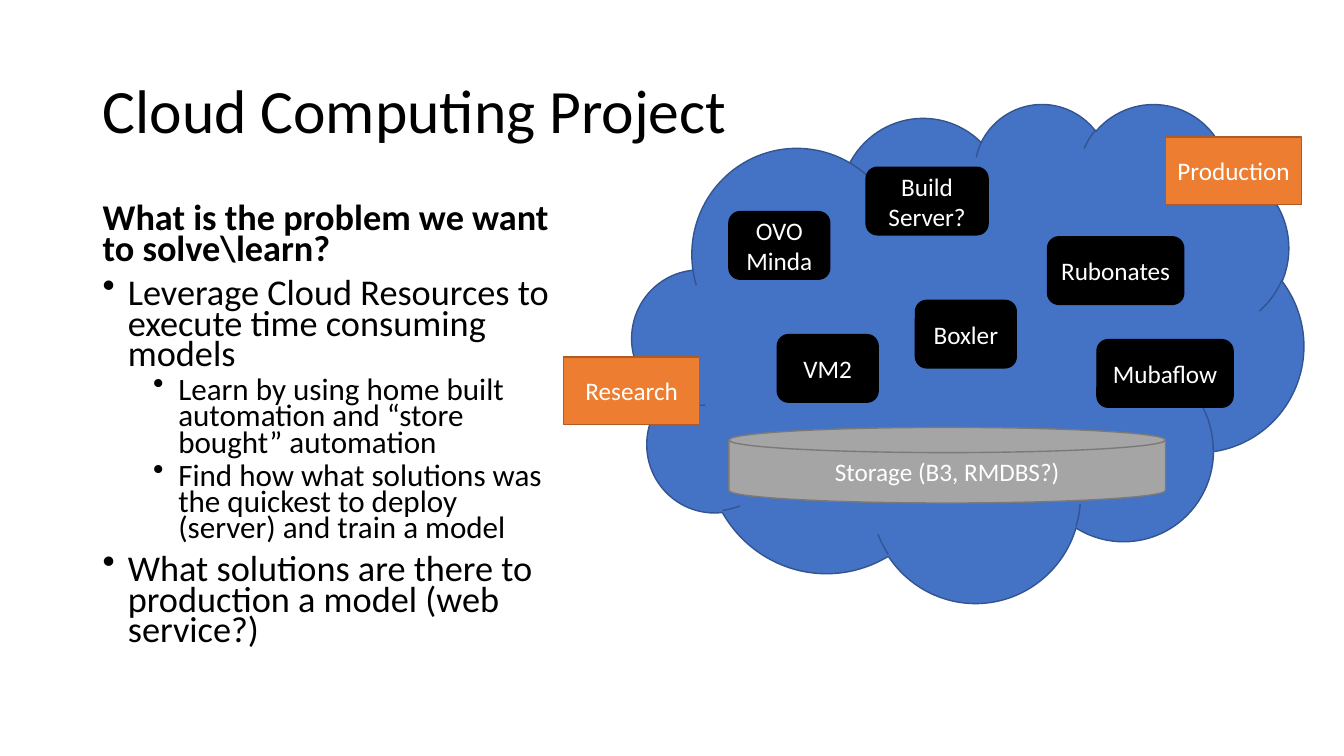
"""Build the cloud computing project slide."""
from lxml.etree import SubElement
from pptx import Presentation
from pptx.dml.color import RGBColor as RGB
from pptx.enum.shapes import MSO_SHAPE as Kind
from pptx.enum.text import MSO_ANCHOR as Anchor, PP_ALIGN as Align
from pptx.oxml.ns import qn
from pptx.util import Inches, Pt

FONT = "Calibri"
BLACK, WHITE = RGB(0, 0, 0), RGB(255, 255, 255)
BLUE, NAVY = RGB(0x44, 0x72, 0xC4), RGB(0x32, 0x54, 0x91)
ORANGE, RUST = RGB(0xED, 0x7D, 0x31), RGB(0xAF, 0x5C, 0x24)
GRAY, SLATE = RGB(0xA5, 0xA5, 0xA5), RGB(0x7A, 0x7A, 0x7A)

TITLE = "Cloud Computing Project"
BODY = [
    ("head", "What is the problem we want to solve\\learn?"),
    ("main", "Leverage Cloud Resources to execute time consuming models"),
    ("sub", "Learn by using home built automation and “store bought” automation"),
    ("sub", "Find how what solutions was the quickest to deploy (server) and train a model"),
    ("main", "What solutions are there to production a model (web service?)"),
]
LEVELS = {
    "head": (0, 25.9, 10, 0),
    "main": (0, 25.9, 10, 0.25),
    "sub": (1, 22.2, 5, 0.75),
}
STYLES = {
    "cloud": (Kind.CLOUD, BLUE, NAVY),
    "stage": (Kind.FLOWCHART_PROCESS, ORANGE, RUST),
    "store": (Kind.FLOWCHART_MAGNETIC_DISK, GRAY, SLATE),
    "tool": (Kind.FLOWCHART_ALTERNATE_PROCESS, BLACK, BLACK),
}
ROW = 0.67
SHAPES = [
    ("cloud", "", 6.27, 1.02, 6.66, 4.95),
    ("stage", "Research", 5.59, 3.54, 1.35, ROW),
    ("stage", "Production", 11.56, 1.36, 1.35, ROW),
    ("store", "Storage (B3, RMDBS?)", 7.23, 4.24, 4.33, 0.75),
    ("tool", "OVO Minda", 7.23, 2.1, 1, ROW),
    ("tool", "Boxler", 9.08, 2.98, 1, ROW),
    ("tool", "VM2", 7.71, 3.32, 1, ROW),
    ("tool", "Mubaflow", 10.88, 3.37, 1.35, ROW),
    ("tool", "Rubonates", 10.39, 2.35, 1.35, ROW),
    ("tool", "Build Server?", 8.59, 1.66, 1.21, ROW),
]


def style(para, size, color, bold=False):
    for run in para.runs:
        font = run.font
        font.name, font.size, font.bold = FONT, Pt(size), bold
        font.color.rgb = color


def add_text(slide, box):
    frame = slide.shapes.add_textbox(*map(Inches, box)).text_frame
    frame.word_wrap = True
    return frame


def add_bullet(para, indent):
    props = para._p.get_or_add_pPr()
    props.set("marL", str(Inches(indent)))
    props.set("indent", str(Inches(-0.25)))
    SubElement(props, qn("a:buChar")).set("char", "•")


def add_body(slide):
    frame = add_text(slide, (0.92, 2, 4.74, 4.76))
    for i, (role, text) in enumerate(BODY):
        level, size, gap, indent = LEVELS[role]
        para = frame.add_paragraph() if i else frame.paragraphs[0]
        para.text, para.level = text, level
        para.line_spacing, para.space_before = 0.7, Pt(gap)
        style(para, size, BLACK, role == "head")
        if indent:
            add_bullet(para, indent)


def add_shape(slide, role, text, *box):
    kind, fill, line = STYLES[role]
    shape = slide.shapes.add_shape(kind, *map(Inches, box))
    shape.shadow.inherit = False
    shape.fill.solid()
    shape.fill.fore_color.rgb = fill
    shape.line.color.rgb = line
    shape.line.width = Pt(1)
    if text:
        frame = shape.text_frame
        frame.text = text
        frame.word_wrap = True
        frame.vertical_anchor = Anchor.MIDDLE
        para = frame.paragraphs[0]
        para.alignment = Align.CENTER
        style(para, 18, WHITE)


deck = Presentation()
deck.slide_width, deck.slide_height = Inches(13.33), Inches(7.5)
slide = deck.slides.add_slide(deck.slide_layouts[6])

title = add_text(slide, (0.92, 0.4, 11.5, 1.45))
title.text = TITLE
title.vertical_anchor = Anchor.MIDDLE
title.paragraphs[0].line_spacing = 0.9
style(title.paragraphs[0], 44, BLACK)

add_body(slide)
for item in SHAPES:
    add_shape(slide, *item)

deck.save("out.pptx")
